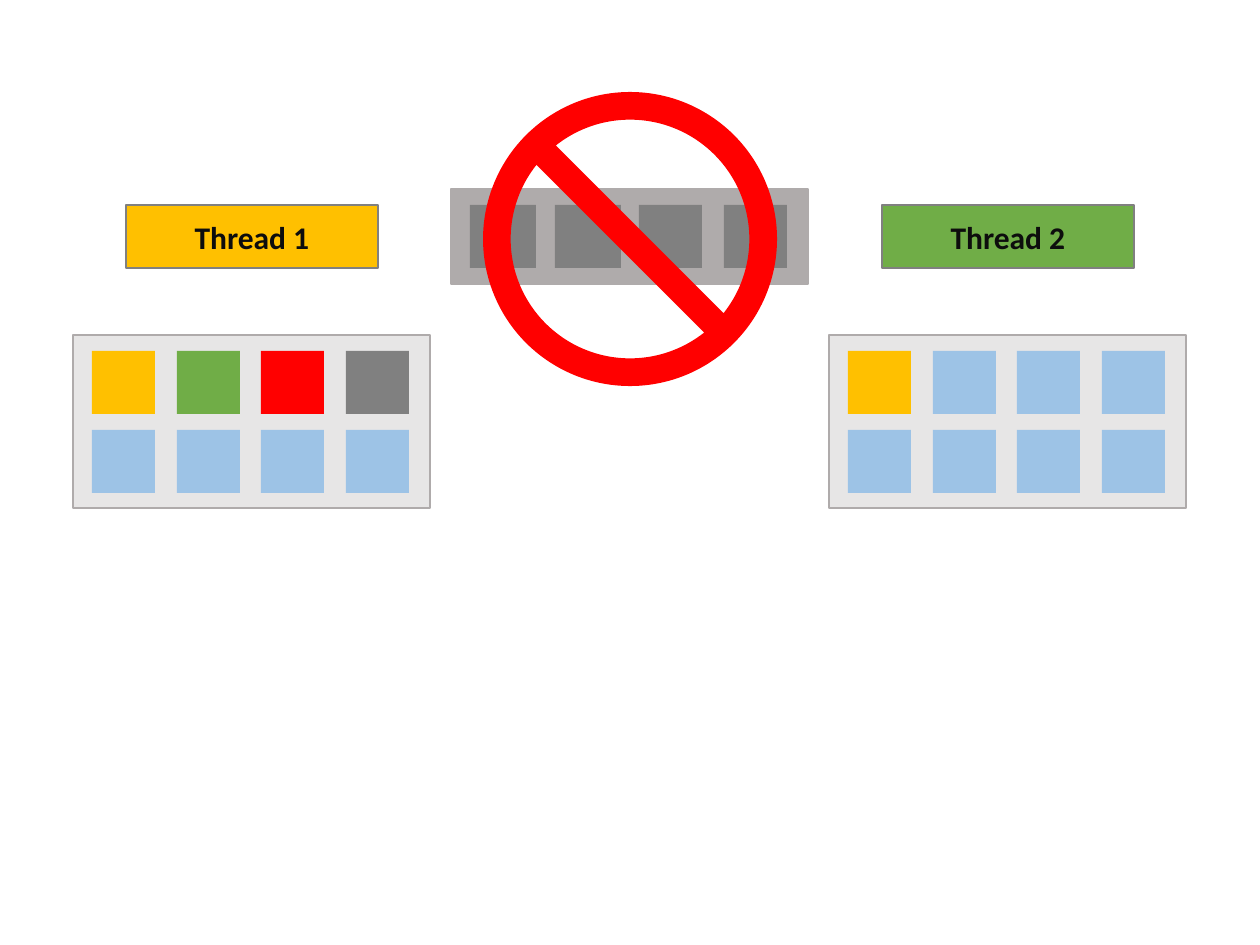
from pptx import Presentation
from pptx import util as u
from pptx.dml.color import RGBColor
from pptx.enum import shapes, text

PX = 914400 / 126
COLORS = {
    "yellow": "FFC000", "green": "70AD47", "red": "FF0000", "gray": "808080",
    "blue": "9DC3E6", "panel": "E7E6E6", "border": "AFABAB", "ink": "0D0D0D",
}

# Panels: left, top, height, fill, rows of cell colours, cell widths
PANELS = [
    (451, 189, 95, "border", [["gray"] * 4], [66, 66, 63, 63]),
    (73, 335, 173, "panel",
     [["yellow", "green", "red", "gray"], ["blue"] * 4], [63] * 4),
    (829, 335, 173, "panel",
     [["yellow"] + ["blue"] * 3, ["blue"] * 4], [63] * 4),
]
PANEL_WIDTH = 357
CELL = 63
CELL_INSET = (19, 16)
THREE_COLUMNS, ROW_PITCH = 254, 79

THREADS = [("Thread 1", 126, "yellow"), ("Thread 2", 882, "green")]
THREAD_TOP, THREAD_WIDTH, THREAD_HEIGHT = 205, 252, 63
NO_SIGN = (483, 92, 294, 294)


def add_block(slide, box, fill, line=None, kind=shapes.MSO_SHAPE.RECTANGLE):
    shape = slide.shapes.add_shape(kind, *(round(length * PX) for length in box))
    shape.shadow.inherit = False
    shape.fill.solid()
    shape.fill.fore_color.rgb = RGBColor.from_string(COLORS[fill])
    if line:
        shape.line.color.rgb = RGBColor.from_string(COLORS[line])
        shape.line.width = u.Pt(1)
    else:
        shape.line.fill.background()
    return shape


def add_panel(slide, left, top, height, fill, rows, widths):
    add_block(slide, (left, top, PANEL_WIDTH, height), fill, "border")
    for row, colors in enumerate(rows):
        for column, color in enumerate(colors):
            x = left + CELL_INSET[0] + round(column * THREE_COLUMNS / 3)
            y = top + CELL_INSET[1] + row * ROW_PITCH
            add_block(slide, (x, y, widths[column], CELL), color)


def add_thread(slide, label, left, fill):
    box = (left, THREAD_TOP, THREAD_WIDTH, THREAD_HEIGHT)
    frame = add_block(slide, box, fill, "gray").text_frame
    frame.vertical_anchor = text.MSO_ANCHOR.MIDDLE
    paragraph = frame.paragraphs[0]
    paragraph.alignment = text.PP_ALIGN.CENTER
    run = paragraph.add_run()
    run.text = label
    run.font.name = "Calibri"
    run.font.size = u.Pt(18)
    run.font.bold = True
    run.font.color.rgb = RGBColor.from_string(COLORS["ink"])


def main():
    presentation = Presentation()
    presentation.slide_width = u.Inches(10)
    presentation.slide_height = u.Inches(7.5)
    slide = presentation.slides.add_slide(presentation.slide_layouts[6])
    for panel in PANELS:
        add_panel(slide, *panel)
    for thread in THREADS:
        add_thread(slide, *thread)
    sign = add_block(slide, NO_SIGN, "red", kind=shapes.MSO_SHAPE.NO_SYMBOL)
    sign.adjustments[0] = 0.094
    presentation.save("out.pptx")


if __name__ == "__main__":
    main()
